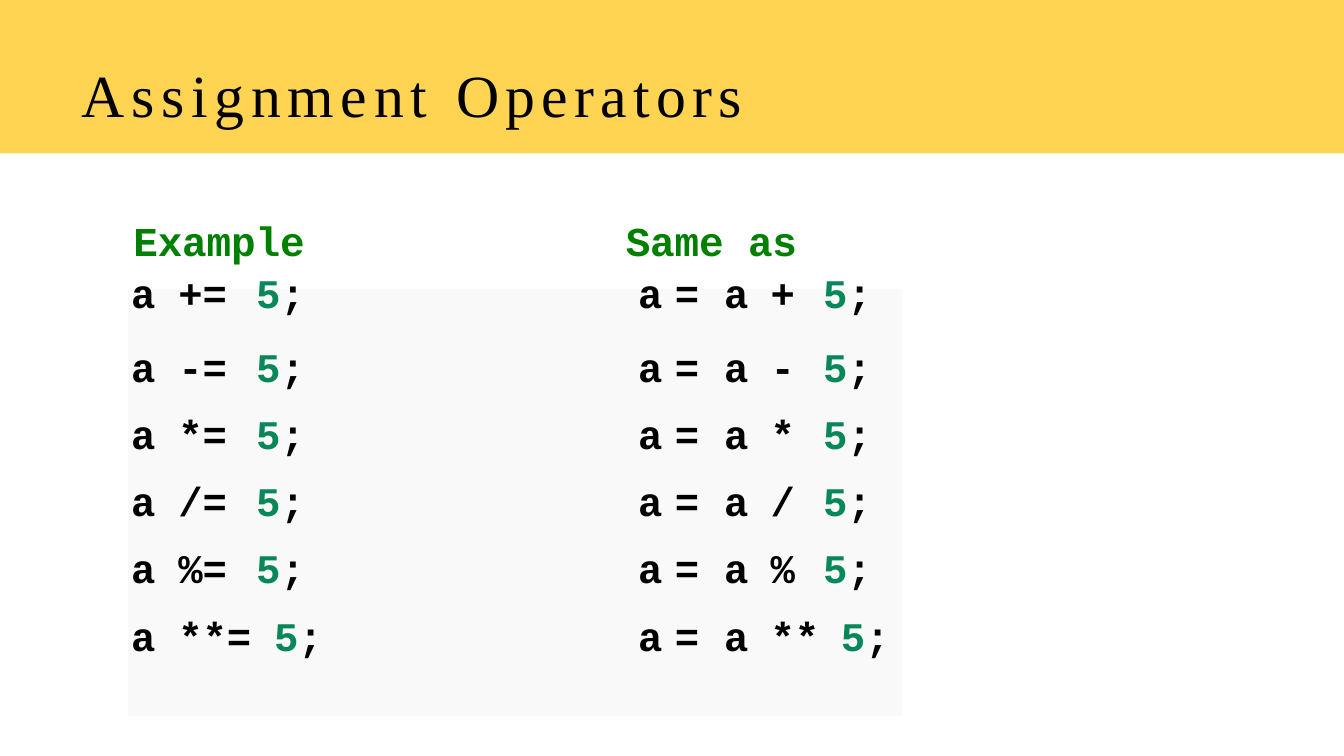
from dataclasses import dataclass

from pptx import Presentation
from pptx.dml.color import RGBColor
from pptx.enum.shapes import MSO_SHAPE as Shape
from pptx.enum.text import MSO_ANCHOR as Anchor, MSO_AUTO_SIZE as AutoSize, PP_ALIGN as Align
from pptx.util import Pt

EMU_PER_PX = 9525
NO_GRID_STYLE = "{2D5ABB26-0587-4C30-8999-92F81FD0307C}"
CODE_FONT = "Courier New"
TITLE_FONT = "Times New Roman"
BLACK, WHITE, YELLOW = "000000", "FFFFFF", "FFD452"
GREEN, NUMBER, PANEL = "008000", "088759", "F9F9F9"

OPERATORS = ["+", "-", "*", "/", "%", "**"]
COL_WIDTHS = [39, 83, 211, 176, 47, 47, 59, 75]
ROW_HEIGHTS = [54, 64, 64, 64, 64, 97]


@dataclass
class Token:
    text: str
    color: str = BLACK
    spacing: float = 0


@dataclass
class Entry:
    tokens: list[Token]
    indent: int = 0
    align: Align = Align.LEFT


@dataclass
class Heading:
    text: str
    left: int


HEADINGS = [Heading("Example", 125), Heading("Same as", 594)]


def px(n: int) -> int:
    return n * EMU_PER_PX


def rgb(color: str) -> RGBColor:
    return RGBColor.from_string(color)


def paint(fill, color: str) -> None:
    fill.solid()
    fill.fore_color.rgb = rgb(color)


def write(p, entry: Entry, font: str, size: float, bold: bool) -> None:
    p.alignment = entry.align
    p._p.get_or_add_pPr().set("marL", str(px(entry.indent)))
    p._p.get_or_add_pPr().set("indent", "0")
    for token in entry.tokens:
        r = p.add_run()
        r.text = token.text
        r.font.name = font
        r.font.size = Pt(size)
        r.font.bold = bold
        r.font.color.rgb = rgb(token.color)
        r._r.get_or_add_rPr().set("spc", str(round(token.spacing * 100)))


def set_margins(target, top: int) -> None:
    target.margin_left = target.margin_right = target.margin_bottom = 0
    target.margin_top = px(top)


def fill_frame(sp, tokens: list[Token], font: str, size: float, bold: bool) -> None:
    tf = sp.text_frame
    tf.word_wrap = True
    tf.auto_size = AutoSize.SHAPE_TO_FIT_TEXT
    set_margins(tf, 2)
    p = tf.paragraphs[0]
    p.space_before = Pt(1.3)
    write(p, Entry(tokens, indent=2), font, size, bold)


def add_title(slide) -> None:
    sp = slide.shapes.title
    sp.left, sp.top, sp.width, sp.height = px(76), px(53), px(632), px(71)
    tokens = [Token("Assignment ", spacing=4.8), Token("Operators", spacing=4.5)]
    fill_frame(sp, tokens, TITLE_FONT, 42.7, False)
    sp.text_frame.vertical_anchor = Anchor.MIDDLE


def add_heading(slide, heading: Heading) -> None:
    sp = slide.shapes.add_textbox(px(heading.left), px(203), px(168), px(49))
    fill_frame(sp, [Token(heading.text, GREEN, -0.1)], CODE_FONT, 29.3, True)


def row_entries(operator: str) -> list[Entry]:
    value = Entry([Token("5", NUMBER, -0.1), Token(";", spacing=-0.1)],
                  indent=17 if len(operator) > 1 else 0)
    return [
        Entry([Token("a")], indent=3),
        Entry([Token(operator + "=", spacing=-0.1)], indent=9),
        value,
        Entry([Token("a")], align=Align.RIGHT),
        Entry([Token("=")], align=Align.CENTER),
        Entry([Token("a")], align=Align.CENTER),
        Entry([Token(operator)], indent=9),
        value,
    ]


def add_operator_table(slide) -> None:
    frame = slide.shapes.add_table(len(ROW_HEIGHTS), len(COL_WIDTHS), px(122), px(275),
                                   px(sum(COL_WIDTHS)), px(sum(ROW_HEIGHTS)))
    table = frame.table
    table.first_row = table.horz_banding = False
    table._tbl.tblPr[0].text = NO_GRID_STYLE
    for column, width in zip(table.columns, COL_WIDTHS):
        column.width = px(width)
    for i, (row, height, operator) in enumerate(zip(table.rows, ROW_HEIGHTS, OPERATORS)):
        row.height = px(height)
        for cell, entry in zip(row.cells, row_entries(operator)):
            paint(cell.fill, PANEL)
            set_margins(cell, 3 if i else 0)
            p = cell.text_frame.paragraphs[0]
            if i:
                p.space_before = Pt(1.9)
            else:
                p.line_spacing = Pt(22.7)
            write(p, entry, CODE_FONT, 29, True)


def main() -> None:
    prs = Presentation()
    prs.slide_width, prs.slide_height = px(1280), px(720)
    slide = prs.slides.add_slide(prs.slide_layouts[5])
    paint(slide.background.fill, YELLOW)
    body = slide.shapes.add_shape(Shape.RECTANGLE, 0, px(146), px(1280), px(574))
    body.shadow.inherit = False
    paint(body.fill, WHITE)
    body.line.fill.background()
    add_title(slide)
    for heading in HEADINGS:
        add_heading(slide, heading)
    add_operator_table(slide)
    prs.save("out.pptx")


if __name__ == "__main__":
    main()
